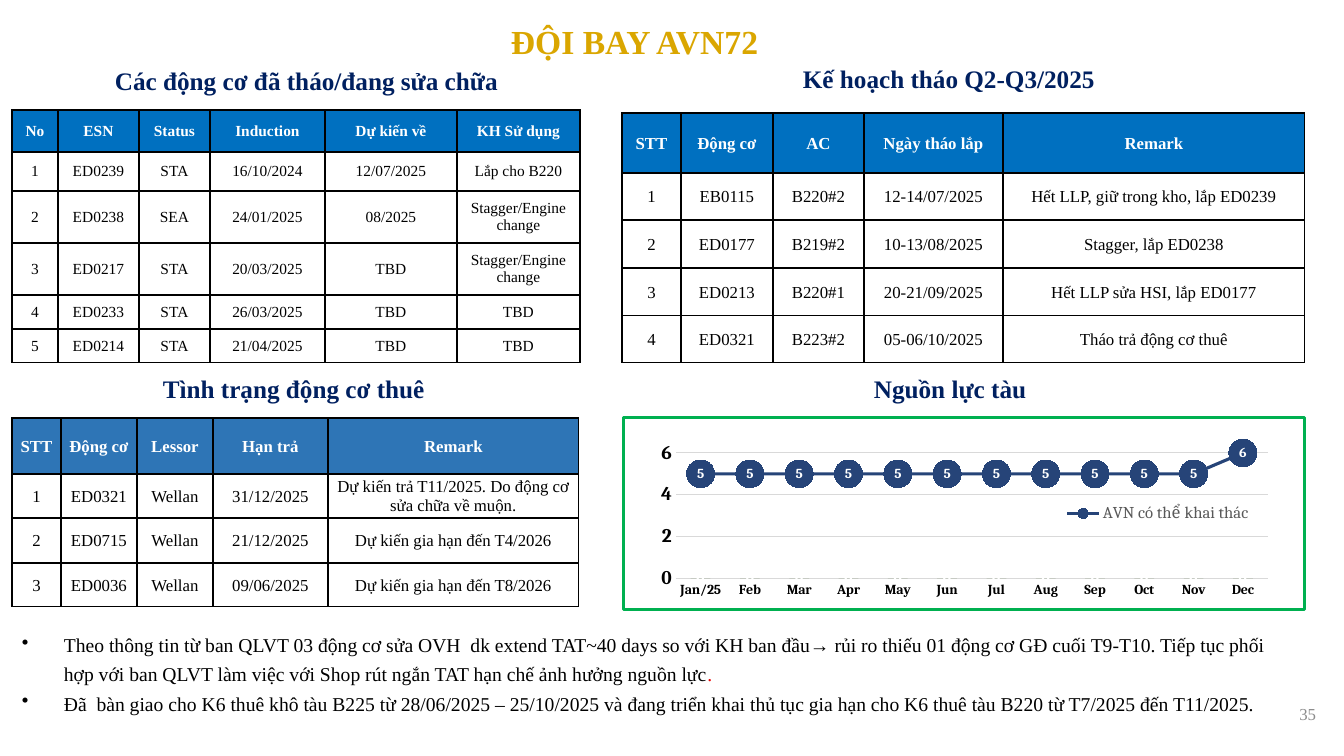
"""Build the turboprop fleet engine status slide."""
from lxml import etree
from pptx import Presentation
from pptx.chart.data import CategoryChartData
from pptx.dml.color import RGBColor
from pptx.enum.chart import (XL_CHART_TYPE, XL_LABEL_POSITION, XL_LEGEND_POSITION,
                             XL_MARKER_STYLE, XL_TICK_MARK)
from pptx.enum.text import MSO_ANCHOR, MSO_AUTO_SIZE, PP_ALIGN
from pptx.oxml import parse_xml
from pptx.oxml.ns import nsdecls, qn
from pptx.util import Pt

COLUMNS = XL_CHART_TYPE.COLUMN_CLUSTERED
LABEL_CENTER = XL_LABEL_POSITION.CENTER
LEGEND_RIGHT = XL_LEGEND_POSITION.RIGHT
CIRCLE = XL_MARKER_STYLE.CIRCLE
NO_TICK = XL_TICK_MARK.NONE
TOP, MIDDLE = MSO_ANCHOR.TOP, MSO_ANCHOR.MIDDLE
GROW = MSO_AUTO_SIZE.SHAPE_TO_FIT_TEXT
LEFT, CENTER, RIGHT = PP_ALIGN.LEFT, PP_ALIGN.CENTER, PP_ALIGN.RIGHT

EMU_PER_PIXEL = 914400 / 100.8
TEXT_FONT, CHART_FONT = "Times New Roman", "Cambria"
COLORS = {
    "gold": "DAA600", "navy": "002060", "blue": "0070C0", "steel": "2E75B6",
    "black": "000000", "white": "FFFFFF", "gray": "8C8C8C", "red": "ED0000",
    "grid": "D9D9D9", "legend": "595959", "frame": "00B050",
    "bar": "43682B", "line": "264478",
}


def px(length):
    return round(length * EMU_PER_PIXEL)


def rgb(name):
    return RGBColor.from_string(COLORS[name])


def style_font(font, size, color, bold=False, name=TEXT_FONT):
    font.name, font.size, font.bold = name, Pt(size), bold
    font.color.rgb = rgb(color)


def chart_layout(left, top, width, height, inner=False):
    target = '<c:layoutTarget val="inner"/>' if inner else ""
    return parse_xml(
        f'<c:layout {nsdecls("c")}><c:manualLayout>{target}'
        '<c:xMode val="edge"/><c:yMode val="edge"/>'
        f'<c:x val="{left}"/><c:y val="{top}"/><c:w val="{width}"/><c:h val="{height}"/>'
        '</c:manualLayout></c:layout>')


class FleetSlide:
    """Draws styled elements, measured in pixels, on one slide."""

    def __init__(self, presentation):
        self.slide = presentation.slides.add_slide(presentation.slide_layouts[6])

    def text(self, box, paragraphs, size, color, bold=False, align=LEFT,
             wrap=True, anchor=TOP, bullets=False):
        shape = self.slide.shapes.add_textbox(*map(px, box))
        frame = shape.text_frame
        frame.word_wrap, frame.vertical_anchor = wrap, anchor
        if anchor == TOP:
            frame.auto_size = GROW
        frame.text = "\n".join(paragraphs)
        for paragraph in frame.paragraphs:
            paragraph.alignment = align
            if bullets:
                self.bullet(paragraph)
            for run in paragraph.runs:
                style_font(run.font, size, color, bold)
        return frame

    def bullet(self, paragraph):
        paragraph.line_spacing = 1.25
        properties = paragraph._p.get_or_add_pPr()
        properties.set("marL", str(px(42)))
        properties.set("indent", str(px(-42)))
        etree.SubElement(properties, qn("a:buChar")).set("char", "•")

    def heading(self, left, top, width, text):
        self.text((left, top, width, 40), [text], 18, "navy", True, wrap=False)

    def table(self, left, top, widths, heights, rows, size, header_color, margins):
        shape = self.slide.shapes.add_table(
            len(heights), len(widths), px(left), px(top), px(sum(widths)), px(sum(heights)))
        table = shape.table
        for column, width in zip(table.columns, widths):
            column.width = px(width)
        for index, (row, height) in enumerate(zip(table.rows, heights)):
            row.height = px(height)
            for cell, value in zip(row.cells, rows[index]):
                self.cell(cell, value, size, margins, header_color if index == 0 else None)

    def cell(self, cell, value, size, margins, header_color):
        (cell.margin_left, cell.margin_top,
         cell.margin_right, cell.margin_bottom) = map(px, margins)
        cell.vertical_anchor = MIDDLE
        cell.text = value
        paragraph = cell.text_frame.paragraphs[0]
        paragraph.alignment = CENTER
        style_font(paragraph.runs[0].font, size,
                   "white" if header_color else "black", bool(header_color))
        for side in ("lnL", "lnR", "lnT", "lnB"):
            cell._tc.get_or_add_tcPr().append(parse_xml(
                f'<a:{side} {nsdecls("a")} w="12700"><a:solidFill>'
                f'<a:srgbClr val="{COLORS["black"]}"/></a:solidFill></a:{side}>'))
        if header_color:
            cell.fill.solid()
            cell.fill.fore_color.rgb = rgb(header_color)
        else:
            cell.fill.background()

    def chart(self, box, categories, series):
        data = CategoryChartData()
        data.categories = categories
        for name, values in series:
            data.add_series(name, values)
        chart = self.slide.shapes.add_chart(COLUMNS, *map(px, box), data).chart
        chart.has_title = False
        style_font(chart.font, 10, "black", name=CHART_FONT)
        self.axes(chart)
        self.split_line(chart)
        bars, line = (plot.series[0] for plot in chart.plots)
        chart.plots[0].gap_width = 150
        bars.format.fill.solid()
        bars.format.fill.fore_color.rgb = rgb("bar")
        line.smooth = False
        line.format.line.color.rgb = rgb("line")
        line.format.line.width = Pt(2.25)
        line.marker.style, line.marker.size = CIRCLE, 20
        line.marker.format.fill.solid()
        line.marker.format.fill.fore_color.rgb = rgb("line")
        line.marker.format.line.color.rgb = rgb("line")
        for plot_series, size in ((bars, 11), (line, 10)):
            labels = plot_series.data_labels
            labels.show_value, labels.position = True, LABEL_CENTER
            style_font(labels.font, size, "white", True, CHART_FONT)
        self.legend(chart)
        chart._chartSpace.find(qn("c:chart")).addnext(parse_xml(
            f'<c:spPr {nsdecls("c", "a")}><a:noFill/><a:ln w="28575"><a:solidFill>'
            f'<a:srgbClr val="{COLORS["frame"]}"/></a:solidFill></a:ln></c:spPr>'))

    def axes(self, chart):
        category, value = chart.category_axis, chart.value_axis
        for axis, size in ((category, 10), (value, 14)):
            axis.major_tick_mark = axis.minor_tick_mark = NO_TICK
            style_font(axis.tick_labels.font, size, "black", True, CHART_FONT)
        value.minimum_scale, value.maximum_scale, value.major_unit = 0, 7, 2
        value.has_major_gridlines = True
        value.format.line.fill.background()
        for line in (category.format.line, value.major_gridlines.format.line):
            line.color.rgb = rgb("grid")
            line.width = Pt(0.75)

    def split_line(self, chart):
        bar_chart = chart.plots[0]._element
        chart.plots[0].vary_by_categories = False
        line_chart = parse_xml(
            f'<c:lineChart {nsdecls("c")}><c:grouping val="standard"/>'
            '<c:varyColors val="0"/><c:marker val="1"/></c:lineChart>')
        line_series = bar_chart.findall(qn("c:ser"))[1]
        for flag in line_series.findall(qn("c:invertIfNegative")):
            line_series.remove(flag)
        line_chart.insert(2, line_series)
        for axis_id in bar_chart.findall(qn("c:axId")):
            etree.SubElement(line_chart, qn("c:axId")).set("val", axis_id.get("val"))
        bar_chart.addnext(line_chart)
        plot_area = bar_chart.getparent()
        for layout in plot_area.findall(qn("c:layout")):
            plot_area.remove(layout)
        plot_area.insert(0, chart_layout(0.077, 0.076, 0.869, 0.762, inner=True))

    def legend(self, chart):
        chart.has_legend = True
        legend = chart.legend
        legend.position, legend.include_in_layout = LEGEND_RIGHT, False
        style_font(legend.font, 12, "legend", name=CHART_FONT)
        for layout in legend._element.findall(qn("c:layout")):
            legend._element.remove(layout)
        entry = parse_xml(f'<c:legendEntry {nsdecls("c")}><c:idx val="0"/>'
                          '<c:delete val="1"/></c:legendEntry>')
        legend._element.find(qn("c:legendPos")).addnext(entry)
        entry.addnext(chart_layout(0.64, 0.43, 0.29, 0.14))


def main():
    presentation = Presentation()
    presentation.slide_width, presentation.slide_height = px(1344), px(756)
    page = FleetSlide(presentation)
    page.text((1245, 685, 81, 57), ["35"], 12, "gray", align=RIGHT, anchor=MIDDLE)
    page.text((317, 16, 635, 50), ["ĐỘI BAY AVN72"], 24, "gold", True, CENTER)
    page.heading(793, 58, 316, "Kế hoạch tháo Q2-Q3/2025")
    page.heading(105, 60, 407, "Các động cơ đã tháo/đang sửa chữa")
    page.heading(153, 368, 284, "Tình trạng động cơ thuê")
    page.heading(864, 368, 174, "Nguồn lực tàu")
    page.table(622, 113, [59, 92, 91, 139, 302], [60, 47, 48, 48, 47], [
        ("STT", "Động cơ", "AC", "Ngày tháo lắp", "Remark"),
        ("1", "EB0115", "B220#2", "12-14/07/2025", "Hết LLP, giữ trong kho, lắp ED0239"),
        ("2", "ED0177", "B219#2", "10-13/08/2025", "Stagger, lắp ED0238"),
        ("3", "ED0213", "B220#1", "20-21/09/2025", "Hết LLP sửa HSI, lắp ED0177"),
        ("4", "ED0321", "B223#2", "05-06/10/2025", "Tháo trả động cơ thuê"),
    ], 12, "blue", (1, 1, 1, 0))
    page.table(12, 418, [49, 76, 76, 115, 251], [56, 44, 45, 44], [
        ("STT", "Động cơ", "Lessor", "Hạn trả", "Remark"),
        ("1", "ED0321", "Wellan", "31/12/2025",
         "Dự kiến trả T11/2025. Do động cơ sửa chữa về muộn."),
        ("2", "ED0715", "Wellan", "21/12/2025", "Dự kiến gia hạn đến T4/2026"),
        ("3", "ED0036", "Wellan", "09/06/2025", "Dự kiến gia hạn đến T8/2026"),
    ], 12, "steel", (1, 1, 1, 0))
    page.table(12, 110, [46, 81, 71, 115, 132, 123], [42, 39, 52, 52, 34, 34], [
        ("No", "ESN", "Status", "Induction", "Dự kiến về", "KH Sử dụng"),
        ("1", "ED0239", "STA", "16/10/2024", "12/07/2025", "Lắp cho B220"),
        ("2", "ED0238", "SEA", "24/01/2025", "08/2025", "Stagger/Engine change"),
        ("3", "ED0217", "STA", "20/03/2025", "TBD", "Stagger/Engine change"),
        ("4", "ED0233", "STA", "26/03/2025", "TBD", "TBD"),
        ("5", "ED0214", "STA", "21/04/2025", "TBD", "TBD"),
    ], 11, "blue", (13, 7, 13, 7))
    months = "Jan/25 Feb Mar Apr May Jun Jul Aug Sep Oct Nov Dec".split()
    page.chart((622, 416, 684, 195), months,
               [("Series 1", [0] * 12), ("AVN có thể khai thác", [5] * 11 + [6])])
    notes = page.text((12, 622, 1297, 97), [
        "Theo thông tin từ ban QLVT 03 động cơ sửa OVH  dk extend TAT~40 days so với KH ban đầu"
        "→ rủi ro thiếu 01 động cơ GĐ cuối T9-T10. Tiếp tục phối hợp với ban QLVT làm việc với "
        "Shop rút ngắn TAT hạn chế ảnh hưởng nguồn lực",
        "Đã  bàn giao cho K6 thuê khô tàu B225 từ 28/06/2025 – 25/10/2025 và đang triển khai "
        "thủ tục gia hạn cho K6 thuê tàu B220 từ T7/2025 đến T11/2025.",
    ], 14, "black", bullets=True)
    full_stop = notes.paragraphs[0].add_run()
    full_stop.text = "."
    style_font(full_stop.font, 14, "red")
    presentation.save("out.pptx")


if __name__ == "__main__":
    main()
